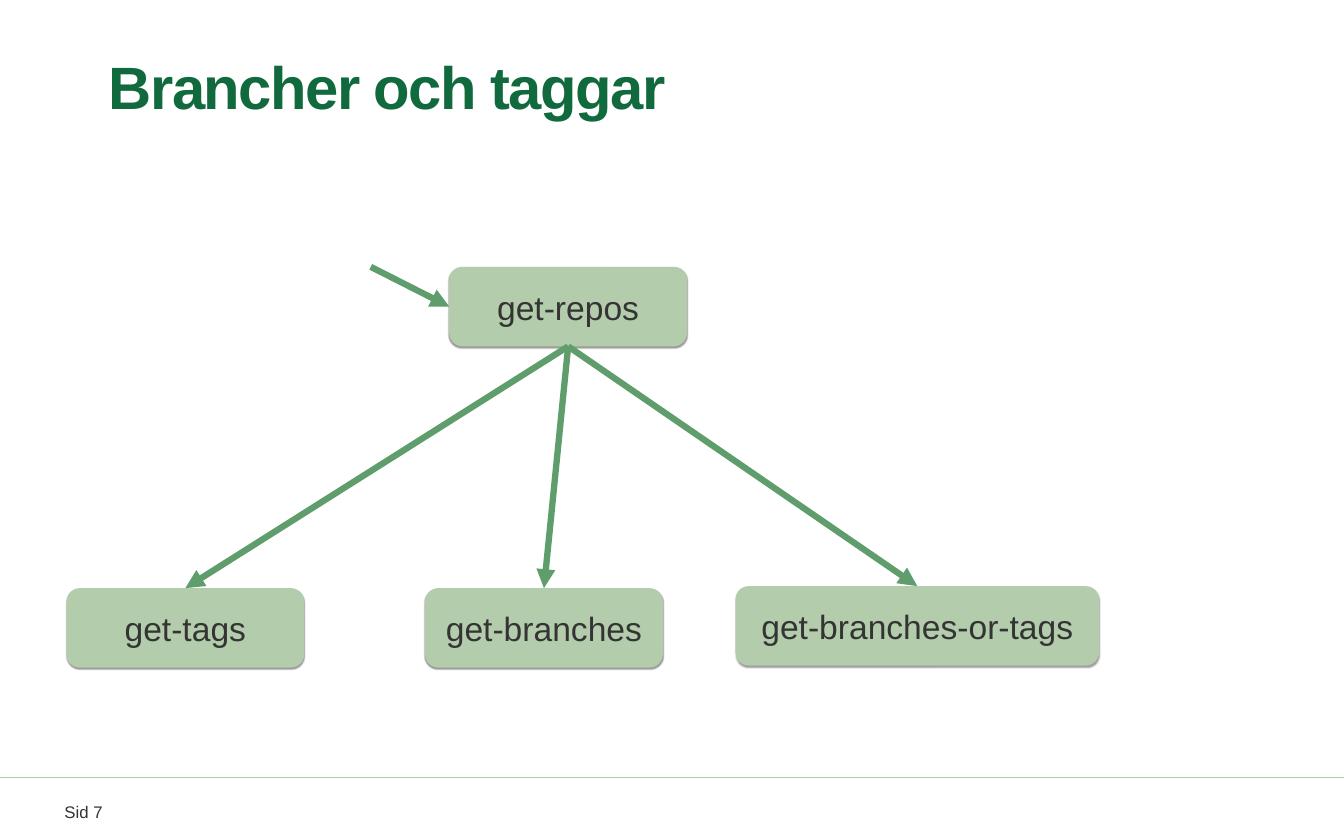
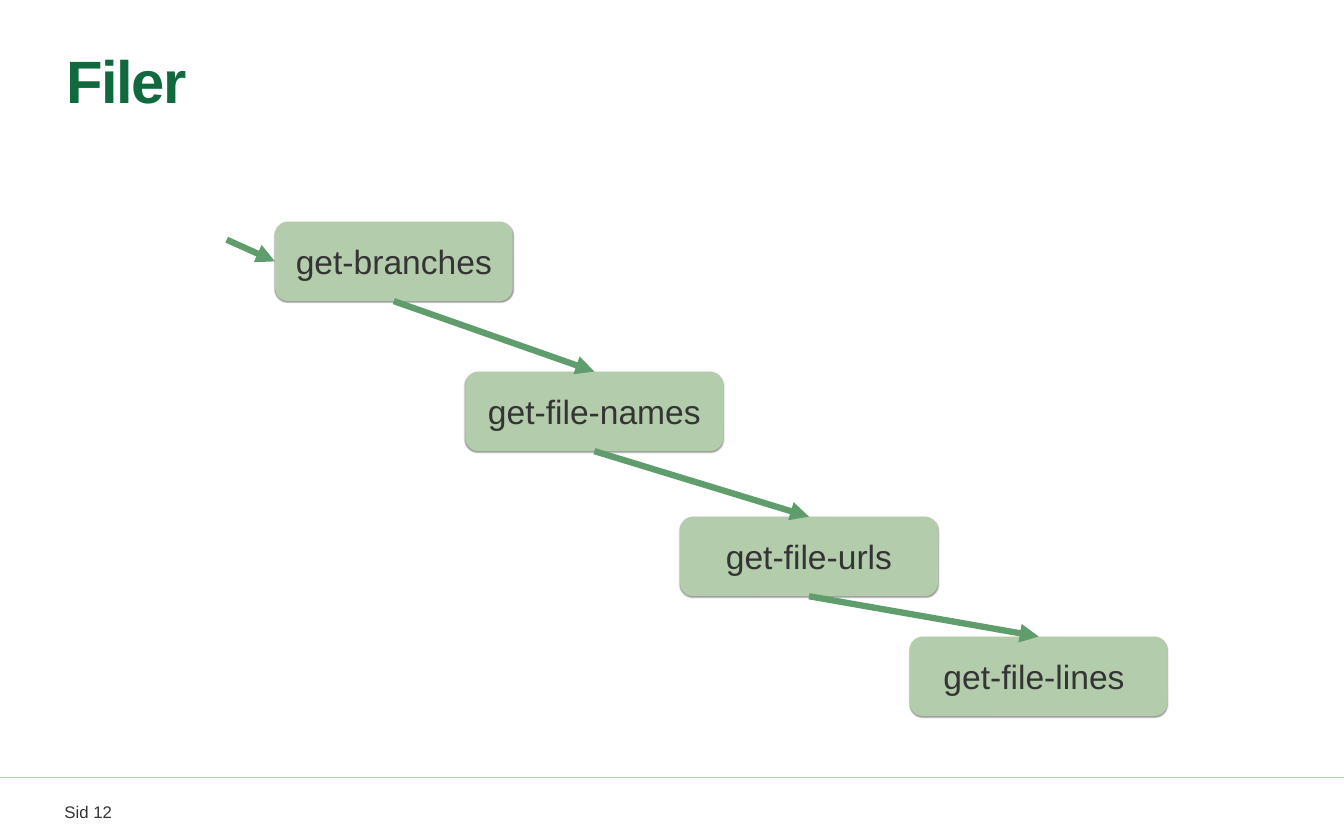
import pptx
import pptx.util
import pptx.dml.color
import pptx.enum.shapes
import pptx.enum.text
import pptx.oxml
import pptx.oxml.ns

SHAPES = pptx.enum.shapes.MSO_SHAPE
TEXT = pptx.enum.text
SLIDE_W, SLIDE_H = pptx.util.Inches(13.34), pptx.util.Inches(8.34)

# Shared colours and formats
WHITE, INK, BOX_GREEN, ARROW_GREEN = "FFFFFF", "343434", "B3CCAC", "5F9E6C"
TITLE_GREEN, RULE_GREEN = "11693E", "A6D0AB"
TITLE_FONT = {"name": "Arial", "size": pptx.util.Pt(42.7), "bold": True}
BOX_FONT = {"name": "Arial", "size": pptx.util.Pt(24)}
FOOTER_FONT = {"name": "Arial", "size": pptx.util.Pt(12)}
NO_MARGINS = dict.fromkeys(
    ("margin_left", "margin_top", "margin_right", "margin_bottom"), 0)
TITLE_FRAME = {**NO_MARGINS, "word_wrap": True,
               "vertical_anchor": TEXT.MSO_ANCHOR.MIDDLE,
               "auto_size": TEXT.MSO_AUTO_SIZE.NONE}
FOOTER_FRAME = {**NO_MARGINS, "word_wrap": True,
                "auto_size": TEXT.MSO_AUTO_SIZE.SHAPE_TO_FIT_TEXT}
BOX_FRAME = {"margin_left": pptx.util.Inches(0.04),
             "margin_right": pptx.util.Inches(0.04),
             "margin_top": pptx.util.Inches(0.08),
             "margin_bottom": pptx.util.Inches(0.08),
             "word_wrap": True, "vertical_anchor": TEXT.MSO_ANCHOR.MIDDLE}
TITLE_PARAGRAPH = {"alignment": TEXT.PP_ALIGN.LEFT, "line_spacing": 0.9}
BOX_PARAGRAPH = {"alignment": TEXT.PP_ALIGN.CENTER,
                 "space_after": pptx.util.Pt(6)}

# Shared places, in percent of the slide's width and height
FOOTER_TOP = 92.57
BOX_W, WIDE_BOX_W, WIDEST_BOX_W, BOX_H = 17.69, 19.19, 27.06, 9.47
TOP, LEFT, BOTTOM = 0, 1, 2


def across(percent):
    return round(SLIDE_W * percent / 100)


def down(percent):
    return round(SLIDE_H * percent / 100)


def place(left, top, width, height):
    return across(left), down(top), across(width), down(height)


def color(hex_value):
    return pptx.dml.color.RGBColor.from_string(hex_value)


def apply(target, formats):
    for attribute, value in formats.items():
        setattr(target, attribute, value)


def write(shape, text, frame_format, paragraph_format, font_format, ink):
    frame = shape.text_frame
    apply(frame, frame_format)
    paragraph = frame.paragraphs[0]
    apply(paragraph, paragraph_format)
    run = paragraph.add_run()
    run.text = text
    apply(run.font, font_format)
    run.font.color.rgb = color(ink)
    return run


def add_effects(shape, content=""):
    """Give the shape its own effect list; an empty one means no shadow."""
    shape._element.spPr.append(pptx.oxml.parse_xml(
        f'<a:effectLst {pptx.oxml.ns.nsdecls("a")}>{content}</a:effectLst>'))


def add_panel(slide, kind, at, fill):
    panel = slide.shapes.add_shape(kind, *place(*at))
    panel.fill.solid()
    panel.fill.fore_color.rgb = color(fill)
    panel.line.fill.background()
    add_effects(panel, '<a:outerShdw blurRad="12700" dist="12700" '
                       'dir="5400000" rotWithShape="0"><a:srgbClr val="000000">'
                       '<a:alpha val="40000"/></a:srgbClr></a:outerShdw>')
    return panel


def add_box(slide, text, left, top, width=BOX_W):
    box = add_panel(slide, SHAPES.ROUNDED_RECTANGLE,
                    (left, top, width, BOX_H), BOX_GREEN)
    write(box, text, BOX_FRAME, BOX_PARAGRAPH, BOX_FONT, INK)
    return box


def add_line(slide, start, end, stroke, points):
    line = slide.shapes.add_connector(
        pptx.enum.shapes.MSO_CONNECTOR.STRAIGHT,
        across(start[0]), down(start[1]), across(end[0]), down(end[1]))
    line.line.color.rgb = color(stroke)
    line.line.width = pptx.util.Pt(points)
    add_effects(line)
    return line


def add_arrow(slide, target, side, source=None, start=(0, 0)):
    """Point at a side of the target, from a source's bottom or a free start."""
    arrow = add_line(slide, start, start, ARROW_GREEN, 4.5)
    if source is not None:
        arrow.begin_connect(source, BOTTOM)
    arrow.end_connect(target, side)
    arrow.line._get_or_add_ln().append(pptx.oxml.parse_xml(
        f'<a:tailEnd {pptx.oxml.ns.nsdecls("a")} type="triangle"/>'))


def add_footer(slide, page):
    add_panel(slide, SHAPES.RECTANGLE,
              (0, FOOTER_TOP, 100, 100 - FOOTER_TOP), WHITE)
    page_label = slide.shapes.add_textbox(*place(4.8, 95.44, 35.38, 2.4))
    write(page_label, f"Sid {page}", FOOTER_FRAME, {}, FOOTER_FONT, INK)
    add_line(slide, (0, FOOTER_TOP), (100, FOOTER_TOP), RULE_GREEN, 1)


def add_slide(deck, title, left, top, page):
    slide = deck.slides.add_slide(deck.slide_layouts.get_by_name("Title Only"))
    add_footer(slide, page)
    heading = slide.shapes.title
    at = place(left, top, 89.28, 16.67)
    apply(heading, dict(zip(("left", "top", "width", "height"), at)))
    run = write(heading, title, TITLE_FRAME, TITLE_PARAGRAPH, TITLE_FONT,
                TITLE_GREEN)
    run._r.get_or_add_rPr().set("spc", "-110")
    return slide


def build_branches_and_tags(deck):
    slide = add_slide(deck, "Brancher och taggar", 8.1, 2.4, 7)
    repos = add_box(slide, "get-repos", 33.43, 31.77)
    children = [add_box(slide, *child) for child in (
        ("get-tags", 4.95, 70.02),
        ("get-branches", 31.63, 70.02),
        ("get-branches-or-tags", 54.72, 69.78, WIDEST_BOX_W))]
    add_arrow(slide, repos, LEFT, start=(27.59, 31.77))
    for child in children:
        add_arrow(slide, child, TOP, source=repos)


def build_files(deck):
    slide = add_slide(deck, "Filer", 4.95, 1.68, 12)
    steps = [add_box(slide, *step) for step in (
        ("get-branches", 20.46, 26.38),
        ("get-file-names", 34.63, 44.24, WIDE_BOX_W),
        ("get-file-urls", 50.6, 61.51, WIDE_BOX_W),
        ("get-file-lines ", 67.69, 75.78, WIDE_BOX_W))]
    for step, following in zip(steps, steps[1:]):
        add_arrow(slide, following, TOP, source=step)
    add_arrow(slide, steps[0], LEFT, start=(16.87, 28.54))


def main():
    deck = pptx.Presentation()
    apply(deck, {"slide_width": SLIDE_W, "slide_height": SLIDE_H})
    build_branches_and_tags(deck)
    build_files(deck)
    deck.save("out.pptx")


if __name__ == "__main__":
    main()
